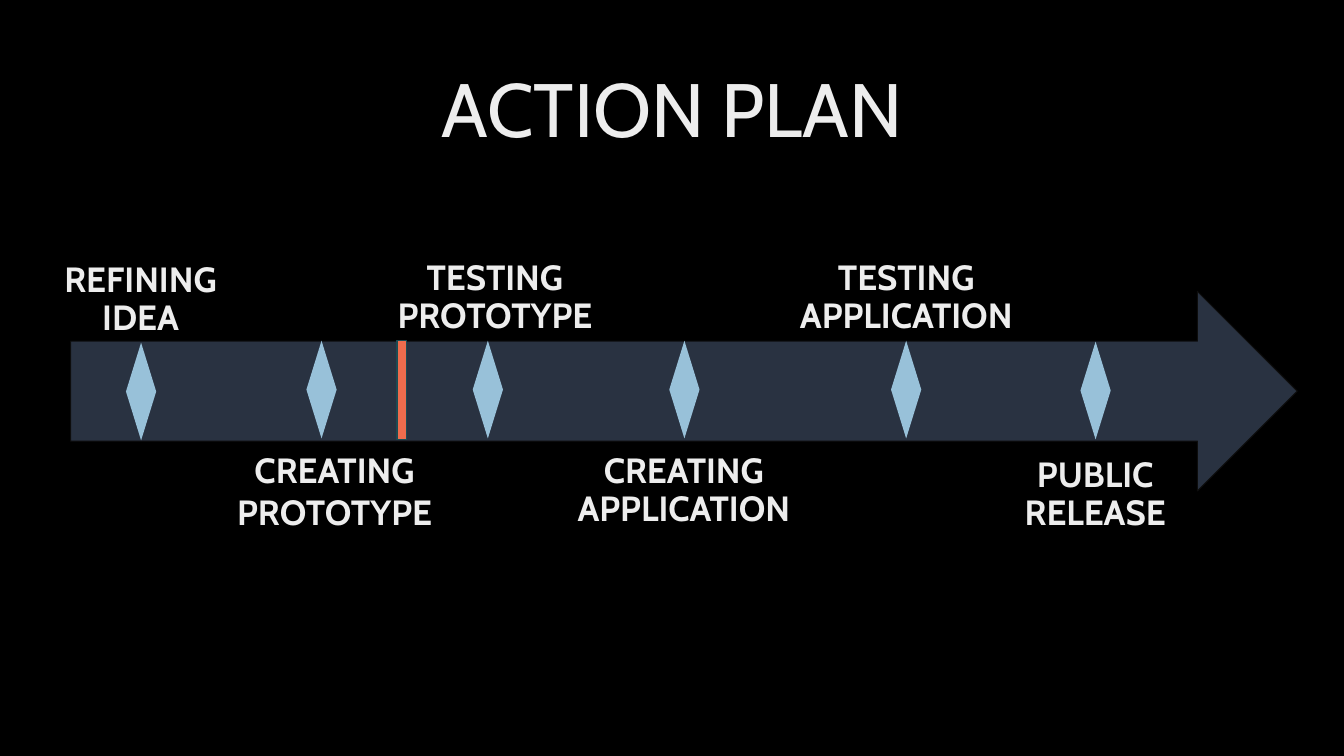
from pptx import Presentation
from pptx.dml.color import RGBColor
from pptx.enum import shapes, text
from pptx.util import Pt

BLACK = RGBColor(0x00, 0x00, 0x00)
LIGHT = RGBColor(0xED, 0xED, 0xED)
NAVY = RGBColor(0x29, 0x32, 0x41)
EDGE = RGBColor(0x0D, 0x0D, 0x0D)
SKY = RGBColor(0x98, 0xC1, 0xD9)
CORAL = RGBColor(0xEE, 0x6C, 0x4D)
TEAL = RGBColor(0x1C, 0x4C, 0x53)

DIAMOND_WIDTH = 21.6
DIAMOND_HEIGHT = 69.8

# label, label box relative to the arrow, diamond position relative to the arrow
MILESTONES = [
    ("REFINING IDEA", (-41.8, -24.5, 183.6, 37.4), (39.6, 36.7), 0.9),
    ("CREATING PROTOTYPE", (91.4, 108.7, 194.4, 37.4), (168.5, 35.3), 1.0),
    ("TESTING PROTOTYPE", (195.8, -25.9, 214.6, 37.4), (287.3, 35.3), 0.9),
    ("CREATING APPLICATION", (350.6, 112.3, 175, 58.3), (427.7, 35.3), 0.9),
    ("TESTING APPLICATION", (489.6, -25.9, 214.6, 37.4), (586.1, 35.3), 0.9),
    ("PUBLIC RELEASE", (640.1, 115.2, 183.6, 37.4), (721.4, 36), 0.9),
]


def add_text(slide, words, box, size=25, bold=False, spacing=0.9,
             anchor=text.MSO_ANCHOR.TOP):
    frame = slide.shapes.add_textbox(*map(Pt, box)).text_frame
    frame.word_wrap = True
    frame.vertical_anchor = anchor
    frame.margin_left = frame.margin_right = Pt(9)
    paragraph = frame.paragraphs[0]
    paragraph.text = words
    paragraph.alignment = text.PP_ALIGN.CENTER
    paragraph.line_spacing = spacing
    paragraph.font.name = "Cabin"
    paragraph.font.size = Pt(size)
    paragraph.font.bold = bold
    paragraph.font.color.rgb = LIGHT


def add_filled(slide, kind, box, fill, line=None, line_width=0.75):
    shape = slide.shapes.add_shape(kind, *map(Pt, box))
    shape.shadow.inherit = False
    shape.fill.solid()
    shape.fill.fore_color.rgb = fill
    if line is None:
        shape.line.fill.background()
    else:
        shape.line.color.rgb = line
        shape.line.width = Pt(line_width)


def draw_title(slide, box):
    add_text(slide, "ACTION PLAN", box, size=54, anchor=text.MSO_ANCHOR.MIDDLE)


def draw_timeline(slide, box):
    left, top = box[:2]
    kinds = shapes.MSO_SHAPE
    add_filled(slide, kinds.RIGHT_ARROW, box, NAVY, EDGE)
    for label, (x, y, width, height), (across, down), spacing in MILESTONES:
        add_text(slide, label, (left + x, top + y, width, height),
                 bold=True, spacing=spacing)
        add_filled(slide, kinds.DIAMOND,
                   (left + across, top + down, DIAMOND_WIDTH, DIAMOND_HEIGHT), SKY)
    add_filled(slide, kinds.RECTANGLE, (left + 233.3, top + 35.3, 6.5, 70.6),
               CORAL, TEAL, 1)


def main():
    presentation = Presentation()
    presentation.slide_width = Pt(960)
    presentation.slide_height = Pt(540)
    slide = presentation.slides.add_slide(presentation.slide_layouts[6])
    slide.background.fill.solid()
    slide.background.fill.fore_color.rgb = BLACK
    draw_title(slide, (66, 28.8, 828, 104.4))
    draw_timeline(slide, (50.4, 208.1, 876.2, 142.6))
    presentation.save("out.pptx")


if __name__ == "__main__":
    main()
